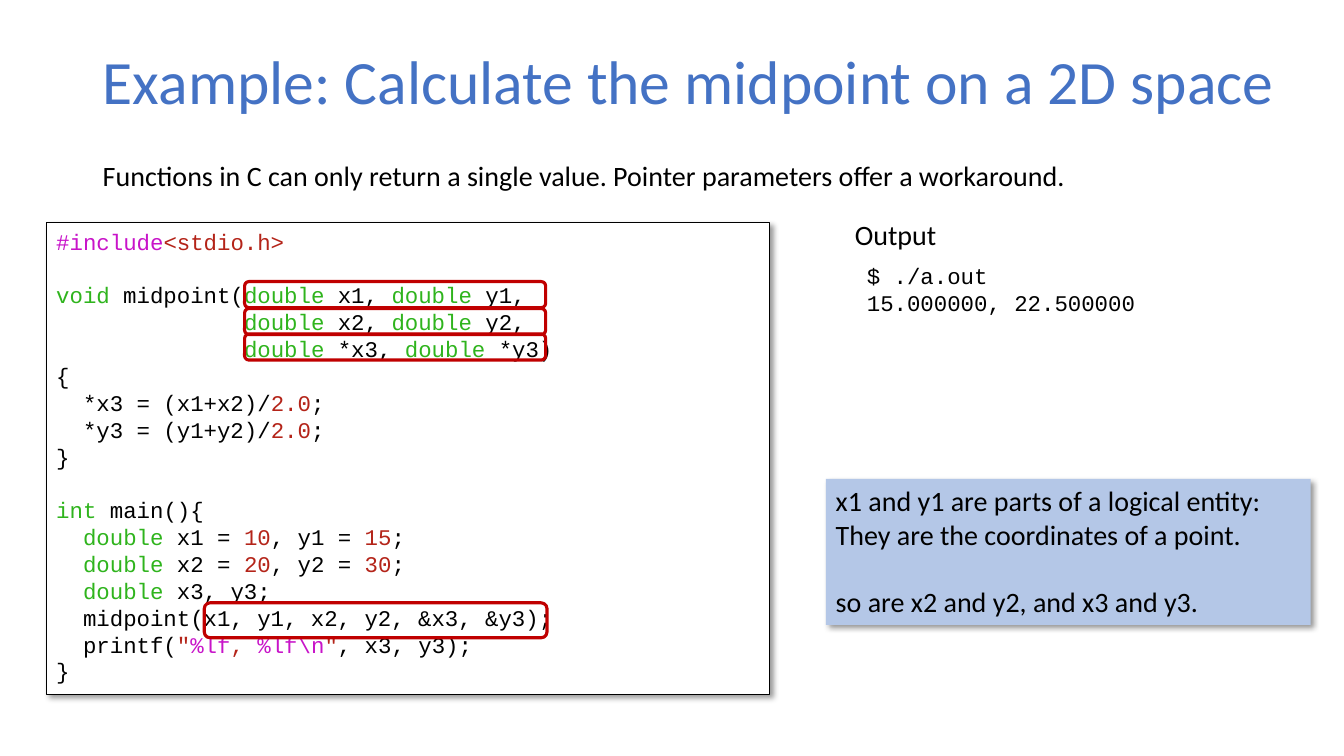
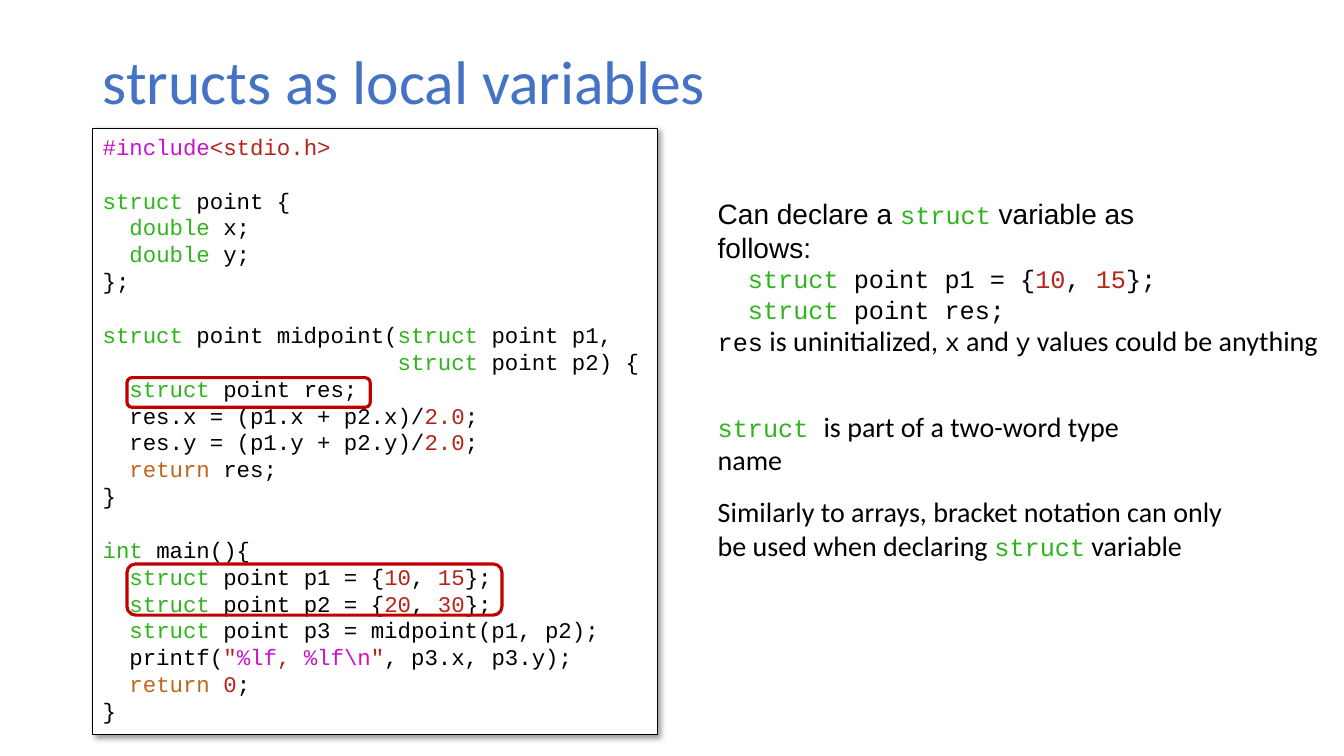
from pptx import Presentation
from pptx.dml.color import RGBColor
from pptx.enum.shapes import MSO_SHAPE
from pptx.enum.text import MSO_ANCHOR, MSO_AUTO_SIZE, PP_ALIGN
from pptx.oxml import parse_xml
from pptx.oxml.ns import nsdecls
from pptx.util import Inches, Pt

THEME = {
    "title": ("Calibri", 44, "4472C4"),
    "prose": ("Calibri", 20, "000000"),
    "plain": ("Arial", 20, "000000"),
    "code": ("Courier New", 16, "000000"),
    "inline": ("Courier New", 18, "000000"),
    "paper": "FFFFFF",
    "border": "000000",
    "note": "B4C7E7",
    "mark": "C00000",
}
TOKENS = {"k": "2FB41D", "n": "B42419", "p": "C814C9", "r": "C1651C"}
INLINE = "i"
WIDTH, HEIGHT = 13.33, 7.5
MARGIN, TITLE_TOP, TITLE_HEIGHT = 0.92, 0.4, 0.87
INSET_X, INSET_Y = 0.1, 0.05
COLUMN, ROW = 0.1333, 0.2667
LINE_FACTOR = 1.2

MIDPOINT_CODE = """§p#include§§n<stdio.h>§

§kvoid§ midpoint(§kdouble§ x1, §kdouble§ y1,
              §kdouble§ x2, §kdouble§ y2,
              §kdouble§ *x3, §kdouble§ *y3)
{
  *x3 = (x1+x2)/§n2.0§;
  *y3 = (y1+y2)/§n2.0§;
}

§kint§ main(){
  §kdouble§ x1 = §n10§, y1 = §n15§;
  §kdouble§ x2 = §n20§, y2 = §n30§;
  §kdouble§ x3, y3;
  midpoint(x1, y1, x2, y2, &x3, &y3);
  printf(§n"§§p%lf§§n, §§p%lf\\n§§n"§, x3, y3);
}"""

STRUCT_CODE = """§p#include§§n<stdio.h>§

§kstruct§ point {
  §kdouble§ x;
  §kdouble§ y;
};

§kstruct§ point midpoint(§kstruct§ point p1,
                      §kstruct§ point p2) {
  §kstruct§ point res;
  res.x = (p1.x + p2.x)/§n2.0§;
  res.y = (p1.y + p2.y)/§n2.0§;
  §rreturn§ res;
}

§kint§ main(){
  §kstruct§ point p1 = {§n10§, §n15§};
  §kstruct§ point p2 = {§n20§, §n30§};
  §kstruct§ point p3 = midpoint(p1, p2);
  printf(§n"§§p%lf§§n, §§p%lf\\n§§n"§, p3.x, p3.y);
  §rreturn §§n0§;
}"""


def lines(style, text):
    return [(style, line) for line in text.split("\n")]


SLIDES = [
    {
        "title": "Example: Calculate the midpoint on a 2D space",
        "title_width": 12.08,
        "code": MIDPOINT_CODE,
        "code_area": (0.46, 2.21, 7.17, 4.68),
        "marks": [(14, 2, 22.4, 0.97), (14, 3, 22.4, 0.97),
                  (14, 3.95, 22.4, 0.97), (11, 13.95, 25.5, 1.3)],
        "texts": [
            ((0.92, 1.52, 9.91, 0.44), lines(
                "prose", "Functions in C can only return a single value. "
                "Pointer parameters offer a workaround.")),
            ((8.38, 2.11, 1.02, 0.44), lines("prose", "Output")),
            ((8.5, 2.55, 2.9, 0.64), lines("code", "$ ./a.out\n15.000000, 22.500000")),
        ],
        "note": ((8.19, 4.75, 4.81, 1.45), lines(
            "prose", "x1 and y1 are parts of a logical entity:\n"
            "They are the coordinates of a point.\n\n"
            "so are x2 and y2, and x3 and y3.")),
    },
    {
        "title": "structs as local variables",
        "title_width": 11.5,
        "code": STRUCT_CODE,
        "code_area": (0.92, 1.27, 5.6, 6.02),
        "marks": [(1.8, 9.1, 18.1, 1.1), (1.8, 16.03, 27.9, 1.9)],
        "texts": [
            ((7.02, 1.9, 4.9, 1.04), [
                ("plain", "Can declare a §kstruct§ variable as follows:"),
                ("inline", "  §kstruct§ point p1 = {§n10§, §n15§};"),
                ("inline", "  §kstruct§ point res;")]),
            ((7.02, 3.16, 6.22, 0.44), lines(
                "prose", "§ires§ is uninitialized, §ix§ and §iy§ values could be anything")),
            ((7.02, 4.01, 4.84, 0.44), lines(
                "prose", "§kstruct §is part of a two-word type name")),
            ((7.02, 4.86, 5.49, 0.77), lines(
                "prose", "Similarly to arrays, bracket notation can only be used "
                "when declaring §kstruct§ variable")),
        ],
    },
]


def color(name):
    return RGBColor.from_string(THEME.get(name, name))


def add_run(paragraph, text, style, ink=None):
    face, size, default_ink = THEME[style]
    run = paragraph.add_run()
    run.text = text
    run.font.name, run.font.size = face, Pt(size)
    run.font.color.rgb = color(ink or default_ink)


def write(frame, content):
    frame.word_wrap = True
    frame.vertical_anchor = MSO_ANCHOR.TOP
    gap, paragraph = 0, None
    for style, line in content:
        if not line:
            gap += THEME[style][1] * LINE_FACTOR
            continue
        paragraph = frame.add_paragraph() if paragraph else frame.paragraphs[0]
        paragraph.alignment = PP_ALIGN.LEFT
        if gap:
            paragraph.space_before = Pt(gap)
            gap = 0
        token_style = "code" if style == "code" else "inline"
        for index, part in enumerate(line.split("§")):
            if not part:
                continue
            if index % 2 == 0:
                add_run(paragraph, part, style)
            elif part[0] == INLINE:
                add_run(paragraph, part[1:], "inline")
            else:
                add_run(paragraph, part[1:], token_style, TOKENS[part[0]])


def add_box(slide, area, kind, fill=None, line=None, weight=0.75):
    box = slide.shapes.add_shape(kind, *map(Inches, area))
    box.shadow.inherit = False
    if fill:
        box.fill.solid()
        box.fill.fore_color.rgb = color(fill)
    else:
        box.fill.background()
    if line:
        box.line.color.rgb = color(line)
        box.line.width = Pt(weight)
    else:
        box.line.fill.background()
    return box


def add_panel(slide, area, content, fill, line=None):
    panel = add_box(slide, area, MSO_SHAPE.RECTANGLE, fill, line)
    panel._element.spPr.find(".//{*}effectLst").append(parse_xml(
        f'<a:outerShdw {nsdecls("a")} blurRad="{Pt(4)}" dist="{Pt(3)}" '
        'dir="2700000" algn="tl" rotWithShape="0"><a:srgbClr val="000000">'
        '<a:alpha val="40000"/></a:srgbClr></a:outerShdw>'))
    write(panel.text_frame, content)


def add_title(slide, text, width):
    title = slide.shapes.title
    title.left, title.top = Inches(MARGIN), Inches(TITLE_TOP)
    title.width, title.height = Inches(width), Inches(TITLE_HEIGHT)
    frame = title.text_frame
    write(frame, [("title", text)])
    frame.auto_size = MSO_AUTO_SIZE.NONE
    frame.vertical_anchor = MSO_ANCHOR.MIDDLE
    frame.paragraphs[0].line_spacing = 0.9


def build(deck, content):
    slide = deck.slides.add_slide(deck.slide_layouts[5])
    add_title(slide, content["title"], content["title_width"])
    add_panel(slide, content["code_area"], lines("code", content["code"]), "paper", "border")
    left, top = content["code_area"][:2]
    for column, row, columns, rows in content["marks"]:
        area = (left + INSET_X + column * COLUMN, top + INSET_Y + row * ROW,
                columns * COLUMN, rows * ROW)
        add_box(slide, area, MSO_SHAPE.ROUNDED_RECTANGLE, line="mark", weight=2.25)
    for area, text in content["texts"]:
        write(slide.shapes.add_textbox(*map(Inches, area)).text_frame, text)
    if "note" in content:
        add_panel(slide, *content["note"], "note")


def main():
    deck = Presentation()
    deck.slide_width, deck.slide_height = Inches(WIDTH), Inches(HEIGHT)
    for content in SLIDES:
        build(deck, content)
    deck.save("out.pptx")


if __name__ == "__main__":
    main()
